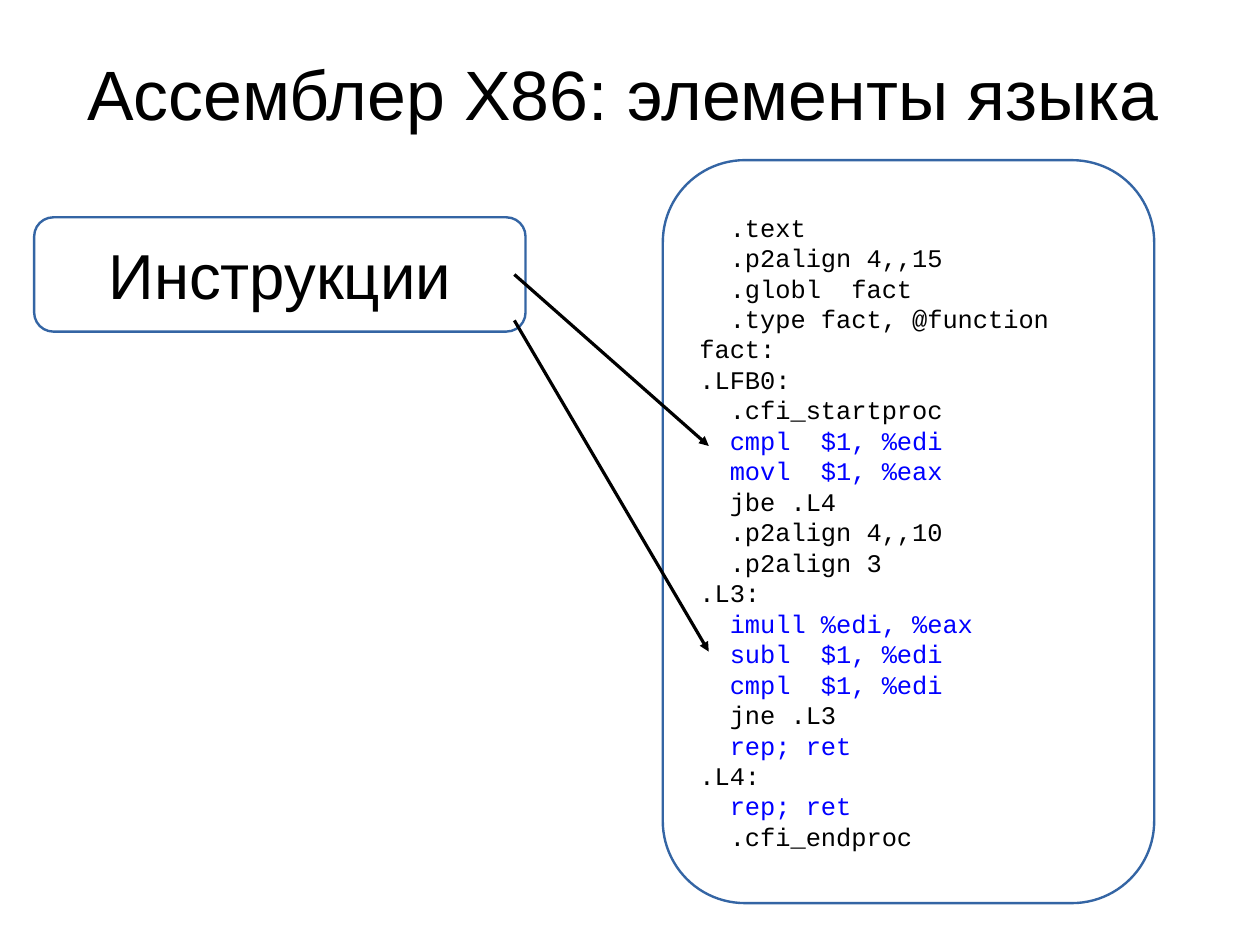
from lxml import etree
from pptx import Presentation
from pptx.dml.color import RGBColor
from pptx.enum.shapes import MSO_CONNECTOR, MSO_SHAPE
from pptx.enum.text import MSO_ANCHOR, PP_ALIGN
from pptx.oxml.ns import qn
from pptx.util import Cm, Pt

BLACK = RGBColor(0x00, 0x00, 0x00)
WHITE = RGBColor(0xFF, 0xFF, 0xFF)
BORDER = RGBColor(0x34, 0x65, 0xA4)
BLUE = RGBColor(0x00, 0x00, 0xFF)

TITLE_BOX = (1.26, 0.3, 25.2, 3.5)
CODE_BOX = (14.73, 3.56, 10.92, 16.51)
LABEL_BOX = (0.76, 4.83, 10.92, 2.54)
ARROWS = [(1.27, 6.35), (2.29, 10.92)]

TITLE_FONT = dict(name="Arial", size=Pt(44), bold=False)
LABEL_FONT = dict(name="Arial", size=Pt(40))
CODE_FONT = dict(name="Courier New", size=Pt(16))
FRAME = dict(word_wrap=True, vertical_anchor=MSO_ANCHOR.MIDDLE)
NO_MARGINS = dict(margin_left=0, margin_top=0, margin_right=0, margin_bottom=0)
MARGINS = dict(margin_left=Cm(0.28), margin_top=Cm(0.15),
               margin_right=Cm(0.28), margin_bottom=Cm(0.15))

HIGHLIGHTED = ("cmpl", "movl", "imull", "subl", "rep;")
CODE = """\
  .text
  .p2align 4,,15
  .globl  fact
  .type fact, @function
fact:
.LFB0:
  .cfi_startproc
  cmpl  $1, %edi
  movl  $1, %eax
  jbe .L4
  .p2align 4,,10
  .p2align 3
.L3:
  imull %edi, %eax
  subl  $1, %edi
  cmpl  $1, %edi
  jne .L3
  rep; ret
.L4:
  rep; ret
  .cfi_endproc"""


def set_attrs(obj, values):
    for name, value in values.items():
        setattr(obj, name, value)


def write_line(p, text, font, color=BLACK, **layout):
    set_attrs(p, layout)
    r = p.add_run()
    r.text = text
    set_attrs(r.font, font)
    r.font.color.rgb = color


def add_title(s, box, text):
    sp = s.shapes.title
    sp.left, sp.top, sp.width, sp.height = map(Cm, box)
    tf = sp.text_frame
    set_attrs(tf, FRAME | NO_MARGINS)
    write_line(tf.paragraphs[0], text, TITLE_FONT, alignment=PP_ALIGN.CENTER)


def add_panel(s, box):
    sp = s.shapes.add_shape(MSO_SHAPE.ROUNDED_RECTANGLE, *map(Cm, box))
    sp.adjustments[0] = 0.167
    sp.shadow.inherit = False
    sp.fill.solid()
    sp.fill.fore_color.rgb = WHITE
    sp.line.color.rgb = BORDER
    sp.line.width = Pt(1.5)
    set_attrs(sp.text_frame, FRAME | MARGINS)
    return sp.text_frame


def add_code(s, box, code):
    tf = add_panel(s, box)
    for i, text in enumerate(code.splitlines()):
        p = tf.add_paragraph() if i else tf.paragraphs[0]
        color = BLUE if text.split()[0] in HIGHLIGHTED else BLACK
        write_line(p, text, CODE_FONT, color,
                   alignment=PP_ALIGN.LEFT, line_spacing=Pt(19.2))


def add_label(s, box, text):
    tf = add_panel(s, box)
    write_line(tf.paragraphs[0], text, LABEL_FONT, alignment=PP_ALIGN.CENTER)


def add_arrows(s, label_box, code_box):
    x1 = label_box[0] + label_box[2] - 0.25
    x2 = code_box[0] + 1.02
    for start, end in ARROWS:
        points = (x1, label_box[1] + start, x2, code_box[1] + end)
        line = s.shapes.add_connector(MSO_CONNECTOR.STRAIGHT, *map(Cm, points))
        line.line.color.rgb = BLACK
        line.line.width = Pt(0)
        ln = line.line._get_or_add_ln()
        etree.SubElement(ln, qn("a:tailEnd"), type="triangle")
        etree.SubElement(line._element.spPr, qn("a:effectLst"))


def main():
    prs = Presentation()
    prs.slide_width, prs.slide_height = Cm(28), Cm(21)
    s = prs.slides.add_slide(prs.slide_layouts[5])
    add_title(s, TITLE_BOX, "Ассемблер X86: элементы языка")
    add_code(s, CODE_BOX, CODE)
    add_label(s, LABEL_BOX, "Инструкции")
    add_arrows(s, LABEL_BOX, CODE_BOX)
    prs.save("out.pptx")


if __name__ == "__main__":
    main()
